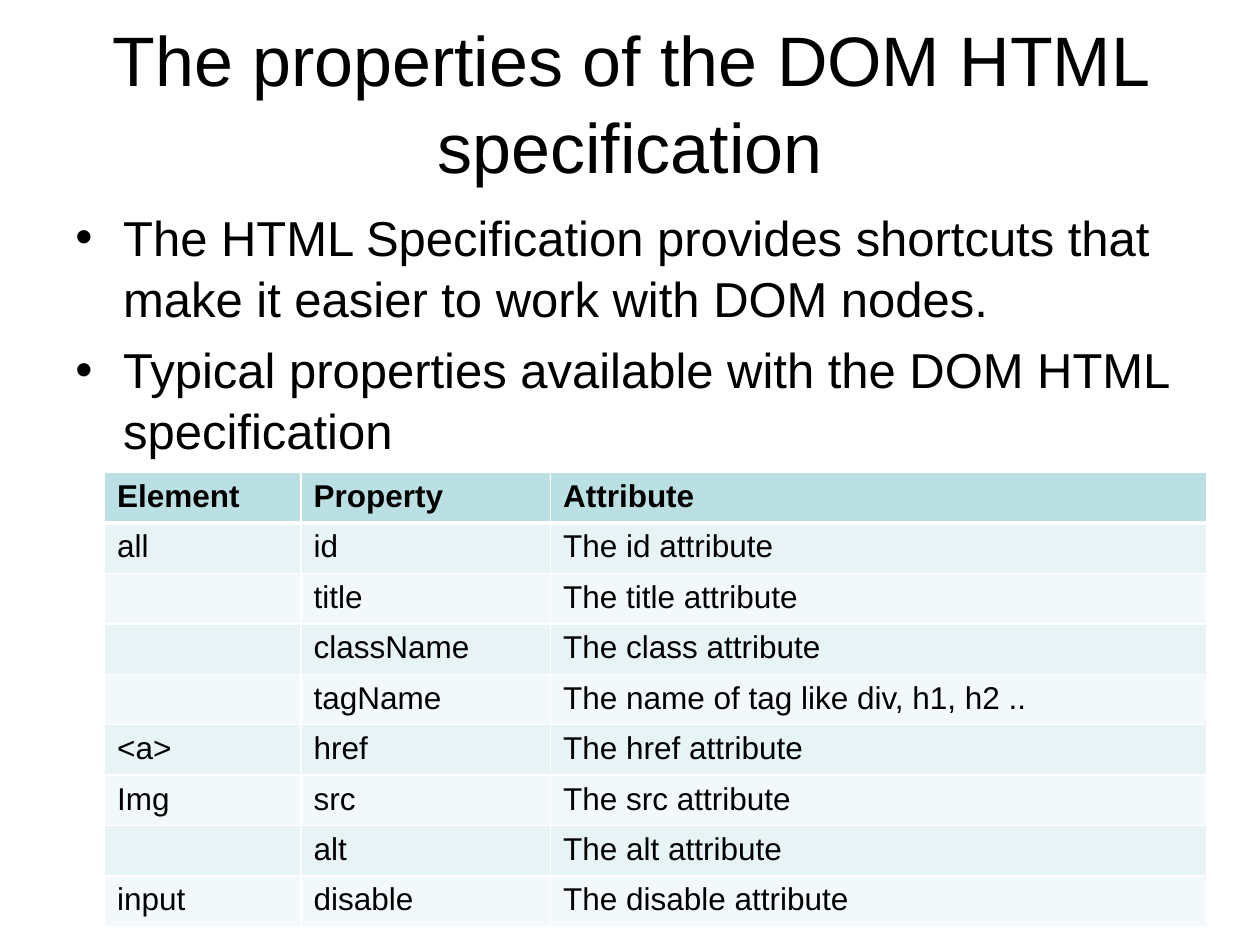
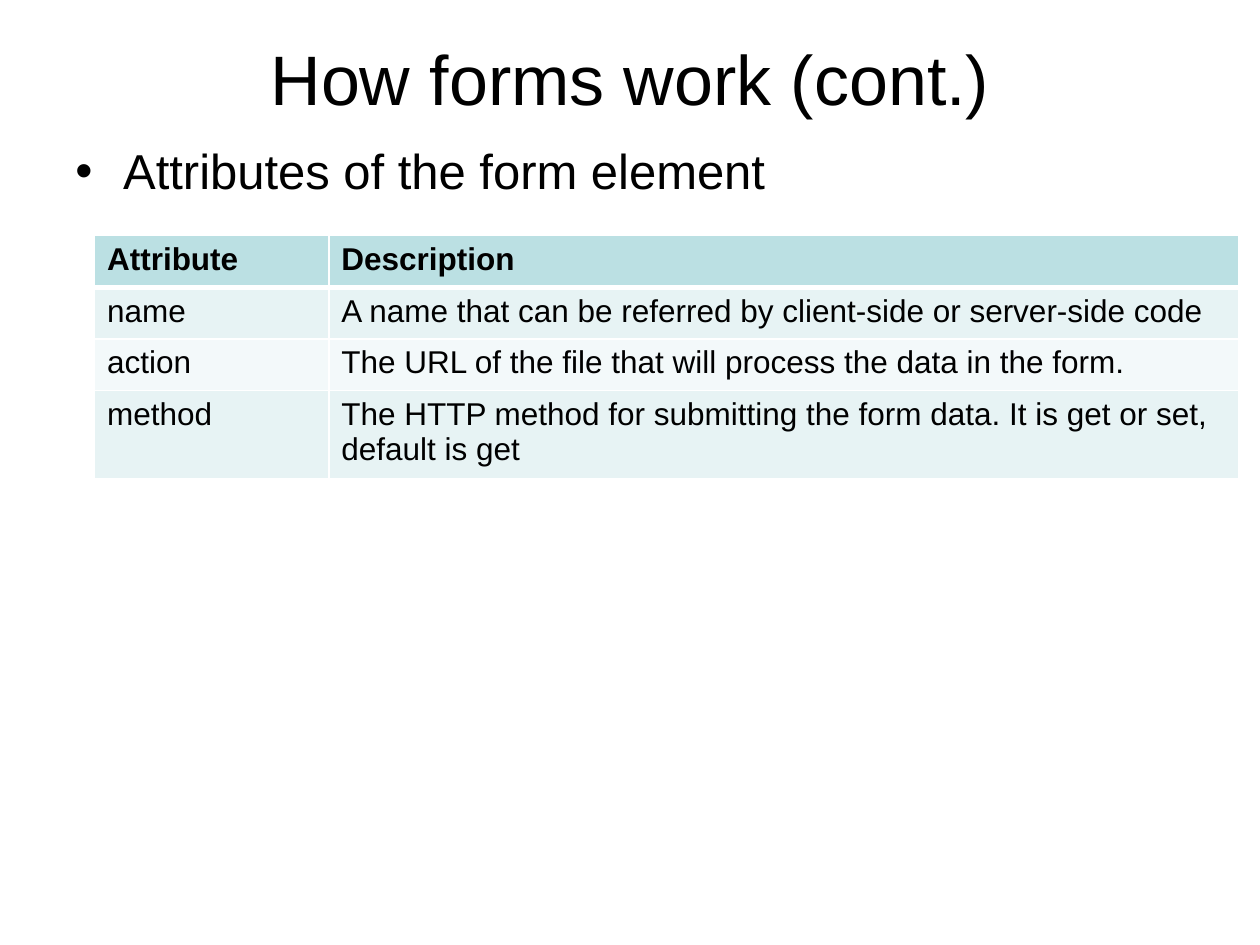
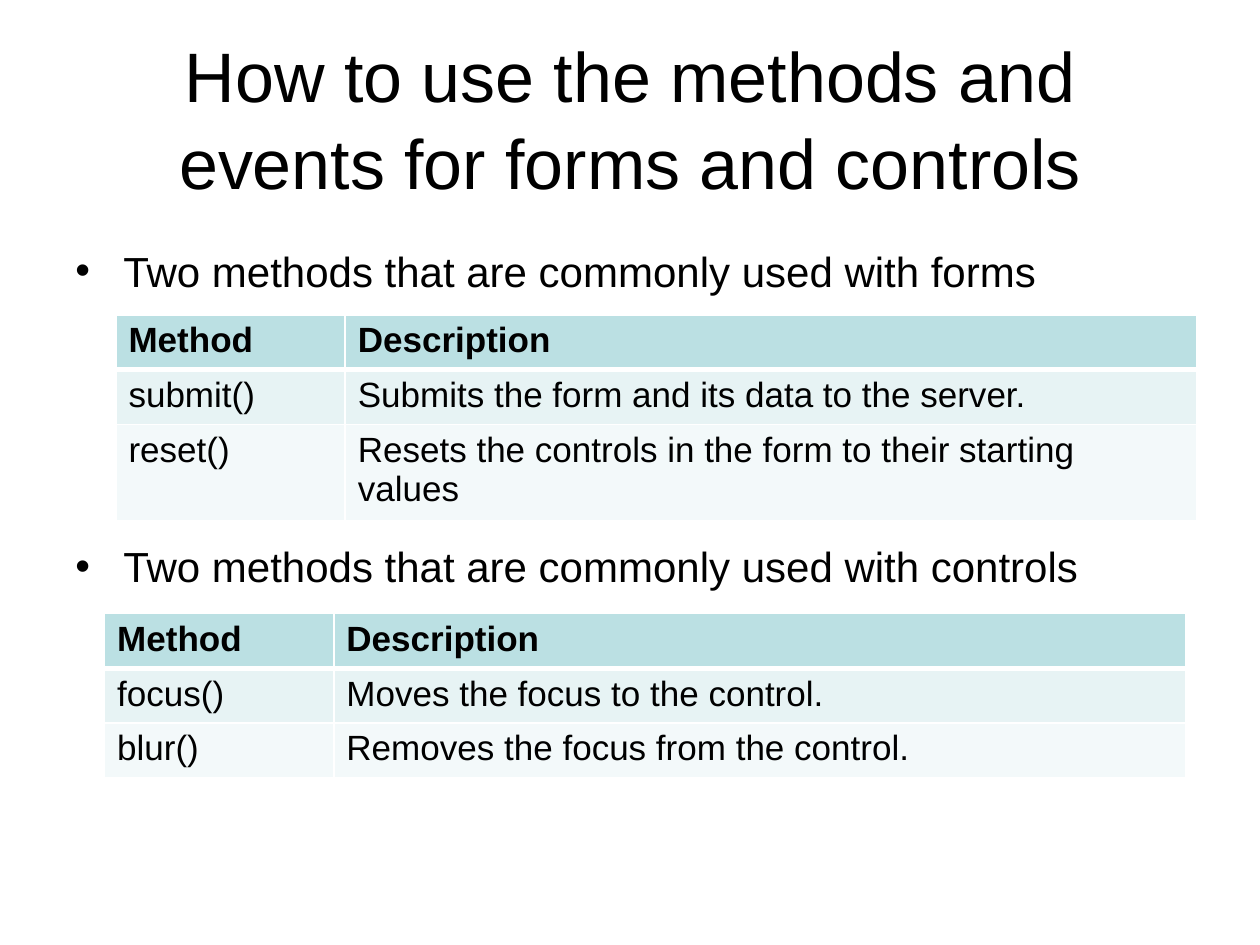
from dataclasses import dataclass
from lxml.etree import SubElement
from pptx import Presentation
from pptx.dml.color import RGBColor
from pptx.enum.text import MSO_ANCHOR, PP_ALIGN
from pptx.oxml.ns import qn
from pptx.util import Inches, Pt


@dataclass(frozen=True)
class Theme:
    font: str = "Arial"
    text: str = "000000"
    border: str = "FFFFFF"
    header: str = "BBE0E3"
    bands: tuple = ("F3F9FA", "E7F3F4")
    title_size: int = 40
    line_spacing: float = 1.04
    indent: float = 0.38


theme = Theme()


def write(p, text, size, bold=False, align=PP_ALIGN.LEFT, spacing=1.0, before=0, bullet=False):
    p.alignment = align
    p.line_spacing = spacing
    p.space_before = Pt(before)
    if bullet:
        pPr = p._p.get_or_add_pPr()
        pPr.set("marL", str(Inches(theme.indent)))
        pPr.set("indent", str(-Inches(theme.indent)))
        SubElement(SubElement(pPr, qn("a:buClr")), qn("a:srgbClr"), val=theme.text)
        SubElement(pPr, qn("a:buFont"), typeface=theme.font)
        SubElement(pPr, qn("a:buChar"), char="•")
    r = p.add_run()
    r.text = text
    r.font.name = theme.font
    r.font.size = Pt(size)
    r.font.bold = bold
    r.font.color.rgb = RGBColor.from_string(theme.text)


def add_grid(s, left, top, widths, row_height, size, rows):
    table = s.shapes.add_table(
        len(rows), len(widths), Inches(left), Inches(top),
        Inches(sum(widths)), Inches(row_height * len(rows))).table
    for column, width in zip(table.columns, widths):
        column.width = Inches(width)
    for i, row in enumerate(rows):
        table.rows[i].height = Inches(row_height)
        for j, text in enumerate(row):
            cell = table.cell(i, j)
            tcPr = cell._tc.get_or_add_tcPr()
            for side in ("lnL", "lnR", "lnT", "lnB"):
                thick = (i, side) in ((0, "lnB"), (1, "lnT"))
                ln = SubElement(tcPr, qn("a:" + side), w=str(Pt(3 if thick else 1)))
                SubElement(SubElement(ln, qn("a:solidFill")), qn("a:srgbClr"), val=theme.border)
            cell.fill.solid()
            cell.fill.fore_color.rgb = RGBColor.from_string(
                theme.bands[i % 2] if i else theme.header)
            if text:
                write(cell.text_frame.paragraphs[0], text, size, bold=i == 0)


slides = [
    dict(
        title="The properties of the DOM HTML specification",
        title_box=(0.5, 0.17, 9, 1.25),
        body_box=(0.5, 1.58, 9, 4.95),
        body_size=28,
        bullets=[
            ("The HTML Specification provides shortcuts that make it easier to work with DOM nodes.", 0),
            ("Typical properties available with the DOM HTML specification", 5.6),
        ],
        tables=[(0.83, 3.75, (1.56, 1.98, 5.21), 0.4, 18, [
            ("Element", "Property", "Attribute"),
            ("all", "id", "The id attribute"),
            ("", "title", "The title attribute"),
            ("", "className", "The class attribute"),
            ("", "tagName", "The name of tag like div, h1, h2 .."),
            ("<a>", "href", "The href attribute"),
            ("Img", "src", "The src attribute"),
            ("", "alt", "The alt attribute"),
            ("input", "disable", "The disable attribute"),
        ])],
    ),
    dict(
        title="How forms work (cont.)",
        title_box=(0.5, 0.17, 9, 0.87),
        body_box=(0.5, 1.05, 9, 4.95),
        body_size=28,
        bullets=[("Attributes of the form element", 0)],
        tables=[(0.75, 1.87, (1.86, 7.22), 0.41, 18, [
            ("Attribute", "Description"),
            ("name", "A name that can be referred by client-side or server-side code"),
            ("action", "The URL of the file that will process the data in the form."),
            ("method", "The HTTP method for submitting the form data. It is get or set, default is get"),
        ])],
    ),
    dict(
        title="How to use the methods and events for forms and controls",
        title_box=(0.5, 0.3, 9, 1.25),
        body_box=(0.5, 1.88, 9.25, 4.95),
        body_size=24,
        bullets=[
            ("Two methods that are commonly used with forms", 0),
            ("Two methods that are commonly used with controls", 139),
        ],
        tables=[
            (0.92, 2.5, (1.82, 6.76), 0.41, 20, [
                ("Method", "Description"),
                ("submit()", "Submits the form and its data to the server."),
                ("reset()", "Resets the controls in the form to their starting values"),
            ]),
            (0.83, 4.87, (1.82, 6.76), 0.41, 20, [
                ("Method", "Description"),
                ("focus()", "Moves the focus to the control."),
                ("blur()", "Removes the focus from the control."),
            ]),
        ],
    ),
]

prs = Presentation()
prs.slide_width = Inches(10)
prs.slide_height = Inches(7.5)

for content in slides:
    s = prs.slides.add_slide(prs.slide_layouts[6])

    tf = s.shapes.add_textbox(*map(Inches, content["title_box"])).text_frame
    tf.word_wrap = True
    tf.vertical_anchor = MSO_ANCHOR.MIDDLE
    write(tf.paragraphs[0], content["title"], theme.title_size,
          align=PP_ALIGN.CENTER, spacing=theme.line_spacing)

    tf = s.shapes.add_textbox(*map(Inches, content["body_box"])).text_frame
    tf.word_wrap = True
    for i, (text, before) in enumerate(content["bullets"]):
        p = tf.add_paragraph() if i else tf.paragraphs[0]
        write(p, text, content["body_size"], spacing=theme.line_spacing,
              before=before, bullet=True)

    for grid in content["tables"]:
        add_grid(s, *grid)

prs.save("out.pptx")
